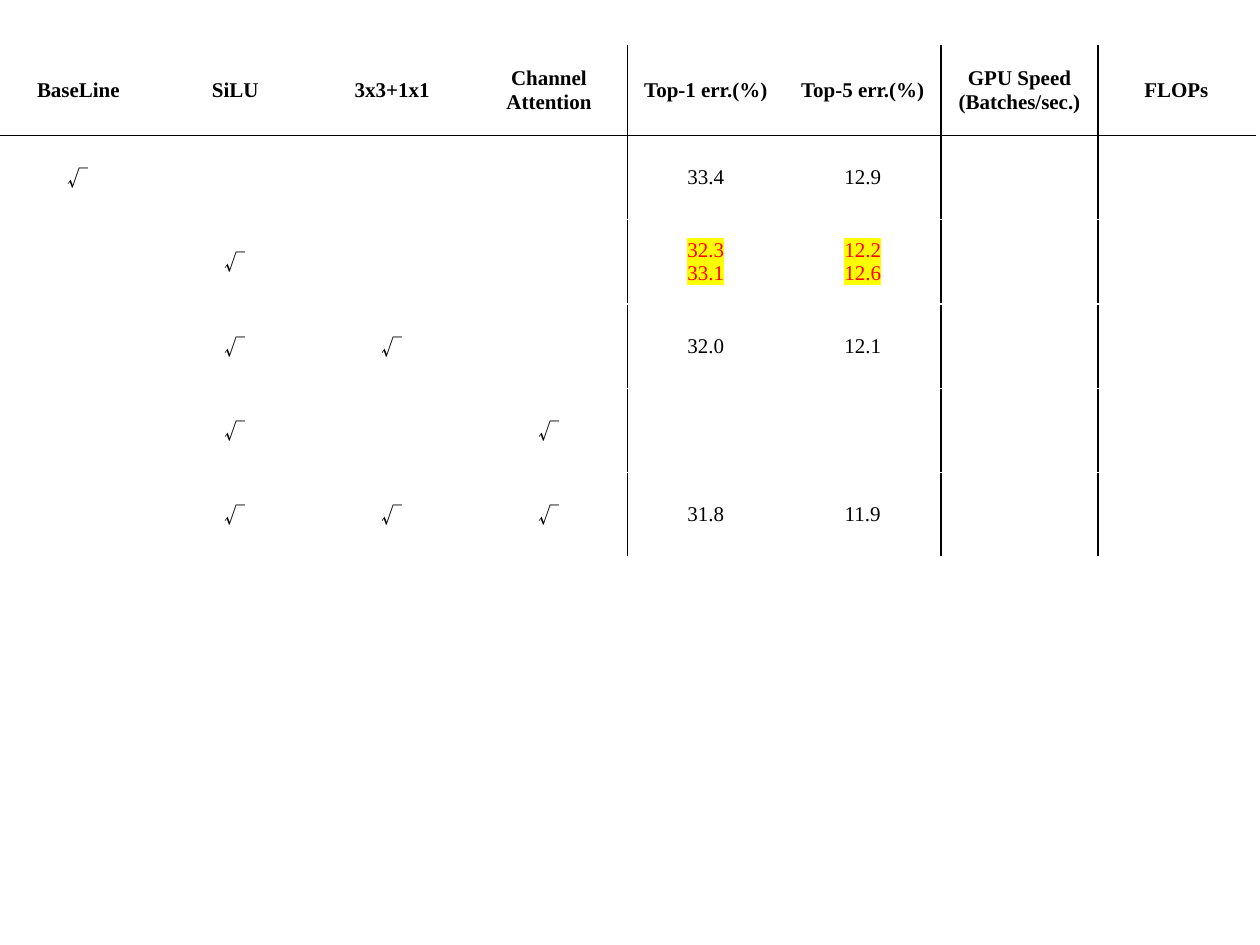
from lxml.etree import SubElement
from pptx import Presentation
from pptx.dml.color import RGBColor
from pptx.enum.text import MSO_ANCHOR, PP_ALIGN
from pptx.oxml import parse_xml
from pptx.oxml.ns import nsdecls, qn
from pptx.util import Pt

BLACK = RGBColor(0x00, 0x00, 0x00)
WHITE = RGBColor(0xFF, 0xFF, 0xFF)
RED = RGBColor(0xFF, 0x00, 0x00)
YELLOW = RGBColor(0xFF, 0xFF, 0x00)

TEXT_FONT = "Times New Roman"
CHECK_FONT = "Noto Sans CJK KR"
CHECK = "√"

HEADER = ["BaseLine", "SiLU", "3x3+1x1", "Channel Attention",
          "Top-1 err.(%)", "Top-5 err.(%)", "GPU Speed\n(Batches/sec.)", "FLOPs"]
RESULTS = [
    [CHECK, "", "", "", "33.4", "12.9", "", ""],
    ["", CHECK, "", "", "32.3\n33.1", "12.2\n12.6", "", ""],
    ["", CHECK, CHECK, "", "32.0", "12.1", "", ""],
    ["", CHECK, "", CHECK, "", "", "", ""],
    ["", CHECK, CHECK, CHECK, "31.8", "11.9", "", ""],
]
HIGHLIGHTED_ROW = 2
RULED_COLUMN_EDGES = {4, 6, 7}  # black vertical rules left of these columns
HEADER_EDGE = 1                 # black rule below the header row

COLUMN_WIDTH = Pt(89.64)
HEADER_HEIGHT = Pt(51.4)
ROW_HEIGHT = Pt(48.2)


def write_text(cell, text, font=TEXT_FONT, bold=False, color=BLACK, highlight=None):
    """Write one centred paragraph for each line of text."""
    cell.vertical_anchor = MSO_ANCHOR.MIDDLE
    frame = cell.text_frame
    for index, line in enumerate(text.split("\n")):
        para = frame.add_paragraph() if index else frame.paragraphs[0]
        para.alignment = PP_ALIGN.CENTER
        span = para.add_run()
        span.text = line
        span.font.size = Pt(12)
        span.font.bold = bold
        span.font.color.rgb = color
        span.font.name = font
        properties = span.font._element
        SubElement(properties, qn("a:ea")).set("typeface", font)
        if highlight is not None:
            properties.find(qn("a:solidFill")).addnext(parse_xml(
                f'<a:highlight {nsdecls("a")}><a:srgbClr val="{highlight}"/></a:highlight>'))


def set_borders(cell, left, right, top, bottom):
    """Give each side of the cell a one-point line in its colour."""
    properties = cell._tc.get_or_add_tcPr()
    sides = [("lnL", left), ("lnR", right), ("lnT", top), ("lnB", bottom)]
    for position, (side, color) in enumerate(sides):
        properties.insert(position, parse_xml(
            f'<a:{side} {nsdecls("a")} w="{Pt(1)}"><a:solidFill>'
            f'<a:srgbClr val="{color}"/></a:solidFill></a:{side}>'))


def column_edge_color(edge):
    return BLACK if edge in RULED_COLUMN_EDGES else WHITE


def row_edge_color(edge):
    return BLACK if edge == HEADER_EDGE else WHITE


def text_format(row, text):
    if row == 0:
        return {"bold": True}
    if text == CHECK:
        return {"font": CHECK_FONT}
    if row == HIGHLIGHTED_ROW:
        return {"color": RED, "highlight": YELLOW}
    return {}


def add_results_table(page, rows):
    columns = len(rows[0])
    height = HEADER_HEIGHT + ROW_HEIGHT * (len(rows) - 1)
    table = page.shapes.add_table(len(rows), columns, Pt(0), Pt(25.9),
                                  COLUMN_WIDTH * columns, height).table
    table.first_row = False
    table.horz_banding = False
    for column in table.columns:
        column.width = COLUMN_WIDTH
    for index, row in enumerate(rows):
        table.rows[index].height = ROW_HEIGHT if index else HEADER_HEIGHT
        for position, text in enumerate(row):
            cell = table.cell(index, position)
            cell.fill.background()
            set_borders(cell,
                        column_edge_color(position), column_edge_color(position + 1),
                        row_edge_color(index), row_edge_color(index + 1))
            if text:
                write_text(cell, text, **text_format(index, text))


def main():
    deck = Presentation()
    deck.slide_width = Pt(720)
    deck.slide_height = Pt(540)
    page = deck.slides.add_slide(deck.slide_layouts[6])

    # Ablation results
    add_results_table(page, [HEADER] + RESULTS)

    deck.save("out.pptx")


if __name__ == "__main__":
    main()
